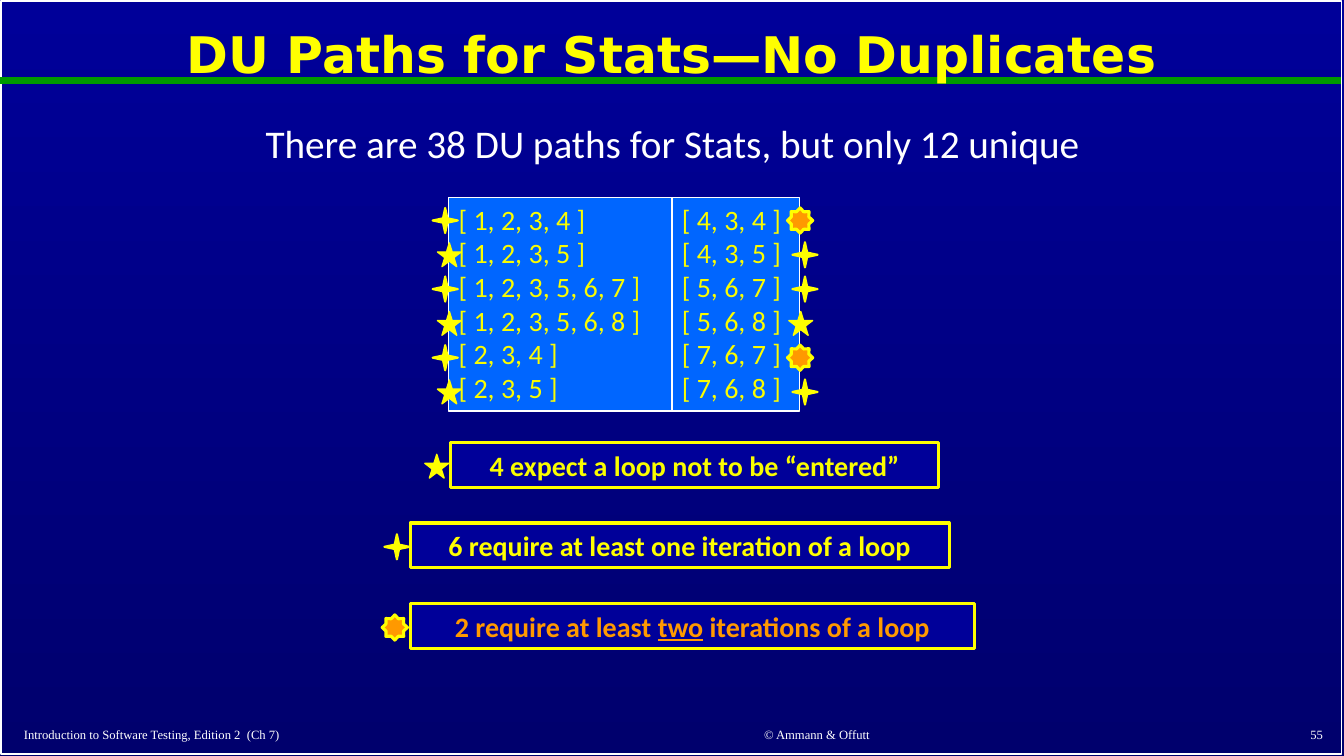
from lxml.etree import SubElement
from pptx import Presentation
from pptx.dml.color import RGBColor
from pptx.enum.shapes import MSO_CONNECTOR as Connector, MSO_SHAPE as Shape
from pptx.enum.text import MSO_ANCHOR as Anchor, MSO_AUTO_SIZE as AutoSize, PP_ALIGN as Align
from pptx.oxml.ns import qn
from pptx.util import Pt

WHITE = RGBColor(0xFF, 0xFF, 0xFF)
YELLOW = RGBColor(0xFF, 0xFF, 0x00)
PATH_YELLOW = RGBColor(0xFA, 0xFD, 0x00)
ORANGE = RGBColor(0xFF, 0x99, 0x00)
GREEN = RGBColor(0x00, 0x99, 0x00)
PANEL_BLUE = RGBColor(0x00, 0x66, 0xFF)
NAVY = RGBColor(0x00, 0x00, 0x99)
DARK_NAVY = RGBColor(0x00, 0x00, 0x6D)

BODY_FONT = "Calibri"
TITLE_FONT = "DejaVu Sans"
FOOTER_FONT = "Times New Roman"

# Kind of path: star shape, size, fill, line width
NOT_ENTERED = (Shape.STAR_5_POINT, 17, YELLOW, 1)
ONE_ITERATION = (Shape.STAR_4_POINT, 18, YELLOW, 1.5)
TWO_ITERATIONS = (Shape.STAR_8_POINT, 18, ORANGE, 2.25)

# Each column: left, width, centre of the stars by kind, paths with their kind
PATH_COLUMNS = [
    (320.5, 159.5, {ONE_ITERATION: 318, NOT_ENTERED: 321}, [
        ("[ 1, 2, 3, 4 ]", ONE_ITERATION),
        ("[ 1, 2, 3, 5 ]", NOT_ENTERED),
        ("[ 1, 2, 3, 5, 6, 7 ]", ONE_ITERATION),
        ("[ 1, 2, 3, 5, 6, 8 ]", NOT_ENTERED),
        ("[ 2, 3, 4 ]", ONE_ITERATION),
        ("[ 2, 3, 5 ]", NOT_ENTERED)]),
    (480, 91, {ONE_ITERATION: 575, NOT_ENTERED: 572, TWO_ITERATIONS: 571.5}, [
        ("[ 4, 3, 4 ]", TWO_ITERATIONS),
        ("[ 4, 3, 5 ]", ONE_ITERATION),
        ("[ 5, 6, 7 ]", ONE_ITERATION),
        ("[ 5, 6, 8 ]", NOT_ENTERED),
        ("[ 7, 6, 7 ]", TWO_ITERATIONS),
        ("[ 7, 6, 8 ]", ONE_ITERATION)]),
]
PANEL_TOP, PANEL_HEIGHT = 141, 152.5
FIRST_STAR_Y, STAR_PITCH = 157.5, 24.5

# Each legend: kind, star centre, box left, box width, colour, runs with underline
LEGENDS = [
    (NOT_ENTERED, 312, 322, 348.5, PATH_YELLOW,
     [("4 expect a loop not to be “entered”", False)]),
    (ONE_ITERATION, 283.5, 293, 385, YELLOW,
     [("6 require at least one iteration of a loop", False)]),
    (TWO_ITERATIONS, 282, 293, 403, ORANGE,
     [("2 require at least ", False), ("two", True), (" iterations of a loop", False)]),
]
LEGEND_TOP, LEGEND_PITCH, LEGEND_HEIGHT = 316, 57.6, 32

FOOTERS = [
    ("Introduction to Software Testing, Edition 2  (Ch 7)", 10, 395, Align.LEFT),
    ("© Ammann & Offutt", 431.5, 304, Align.CENTER),
    ("55", 752, 200, Align.RIGHT),
]


def add_run(paragraph, text, font_name, size, color, bold=False, underline=False):
    run = paragraph.add_run()
    run.text = text
    font = run.font
    font.name, font.size, font.bold, font.underline = font_name, Pt(size), bold, underline
    font.color.rgb = color


def set_background(slide):
    fill = slide.background.fill
    fill.gradient()
    fill.gradient_angle = 270
    for stop, color in zip(fill.gradient_stops, (NAVY, DARK_NAVY)):
        stop.color.rgb = color


def add_outlined(slide, kind, left, top, width, height, fill, line, line_width):
    """Add a preset shape; a fill of None leaves it hollow."""
    shape = slide.shapes.add_shape(kind, Pt(left), Pt(top), Pt(width), Pt(height))
    shape.shadow.inherit = False
    if fill is None:
        shape.fill.background()
    else:
        shape.fill.solid()
        shape.fill.fore_color.rgb = fill
    shape.line.color.rgb = line
    shape.line.width = Pt(line_width)
    return shape


def add_title_rule(slide):
    rule = slide.shapes.add_connector(Connector.STRAIGHT, Pt(0), Pt(57.5), Pt(958), Pt(57.5))
    rule.line.color.rgb = GREEN
    rule.line.width = Pt(4.5)
    SubElement(rule.element.spPr, qn("a:effectLst"))


def fill_placeholder(holder, box, anchor, text, font_name, size, color, bold=False):
    """Place a placeholder in front of the shapes so far and write one centred line."""
    holder.left, holder.top, holder.width, holder.height = map(Pt, box)
    holder.element.getparent().append(holder.element)
    frame = holder.text_frame
    frame.auto_size = AutoSize.NONE
    frame.vertical_anchor = anchor
    paragraph = frame.paragraphs[0]
    paragraph.alignment = Align.CENTER
    paragraph.line_spacing = 0.9
    paragraph.space_before = Pt(0)
    add_run(paragraph, text, font_name, size, color, bold)
    return paragraph


def remove_bullet(paragraph):
    properties = paragraph._p.get_or_add_pPr()
    properties.set("marL", "0")
    properties.set("indent", "0")
    SubElement(properties, qn("a:buNone"))


def add_footer(slide, text, left, width, alignment):
    box = slide.shapes.add_textbox(Pt(left), Pt(515), Pt(width), Pt(19))
    frame = box.text_frame
    frame.word_wrap = True
    frame.vertical_anchor = Anchor.MIDDLE
    paragraph = frame.paragraphs[0]
    paragraph.alignment = alignment
    add_run(paragraph, text, FOOTER_FONT, 9, WHITE)


def add_star(slide, kind, center_x, center_y):
    star, size, fill, line_width = kind
    add_outlined(slide, star, center_x - size / 2, center_y - size / 2,
                 size, size, fill, YELLOW, line_width)


def add_path_panel(slide, left, width, paths):
    panel = add_outlined(slide, Shape.RECTANGLE, left, PANEL_TOP, width, PANEL_HEIGHT,
                         PANEL_BLUE, WHITE, 1)
    frame = panel.text_frame
    frame.vertical_anchor = Anchor.TOP
    for row, (path, _) in enumerate(paths):
        paragraph = frame.add_paragraph() if row else frame.paragraphs[0]
        paragraph.alignment = Align.LEFT
        add_run(paragraph, path, BODY_FONT, 20, PATH_YELLOW)


def add_legend(slide, top, kind, star_x, left, width, color, runs):
    box = add_outlined(slide, Shape.RECTANGLE, left, top, width, LEGEND_HEIGHT,
                       NAVY, YELLOW, 2.25)
    paragraph = box.text_frame.paragraphs[0]
    paragraph.alignment = Align.CENTER
    for text, underline in runs:
        add_run(paragraph, text, BODY_FONT, 20, color, True, underline)
    add_star(slide, kind, star_x, top + 17)


def main():
    prs = Presentation()
    prs.slide_width, prs.slide_height = Pt(960), Pt(540)
    slide = prs.slides.add_slide(prs.slide_layouts[1])
    set_background(slide)
    add_outlined(slide, Shape.RECTANGLE, 0.75, 0.75, 957.5, 538, None, WHITE, 1)
    add_title_rule(slide)
    for footer in FOOTERS:
        add_footer(slide, *footer)

    fill_placeholder(slide.shapes.title, (7, 8, 945.5, 66), Anchor.MIDDLE,
                     "DU Paths for Stats—No Duplicates", TITLE_FONT, 36, YELLOW, True)
    summary = fill_placeholder(slide.placeholders[1], (131, 85.5, 698.5, 46), Anchor.TOP,
                               "There are 38 DU paths for Stats, but only 12 unique",
                               BODY_FONT, 28, WHITE)
    remove_bullet(summary)

    for left, width, _, paths in PATH_COLUMNS:
        add_path_panel(slide, left, width, paths)
    for _, _, star_centers, paths in PATH_COLUMNS:
        for row, (_, kind) in enumerate(paths):
            add_star(slide, kind, star_centers[kind], FIRST_STAR_Y + row * STAR_PITCH)
    for row, legend in enumerate(LEGENDS):
        add_legend(slide, LEGEND_TOP + row * LEGEND_PITCH, *legend)

    prs.save("out.pptx")


if __name__ == "__main__":
    main()
